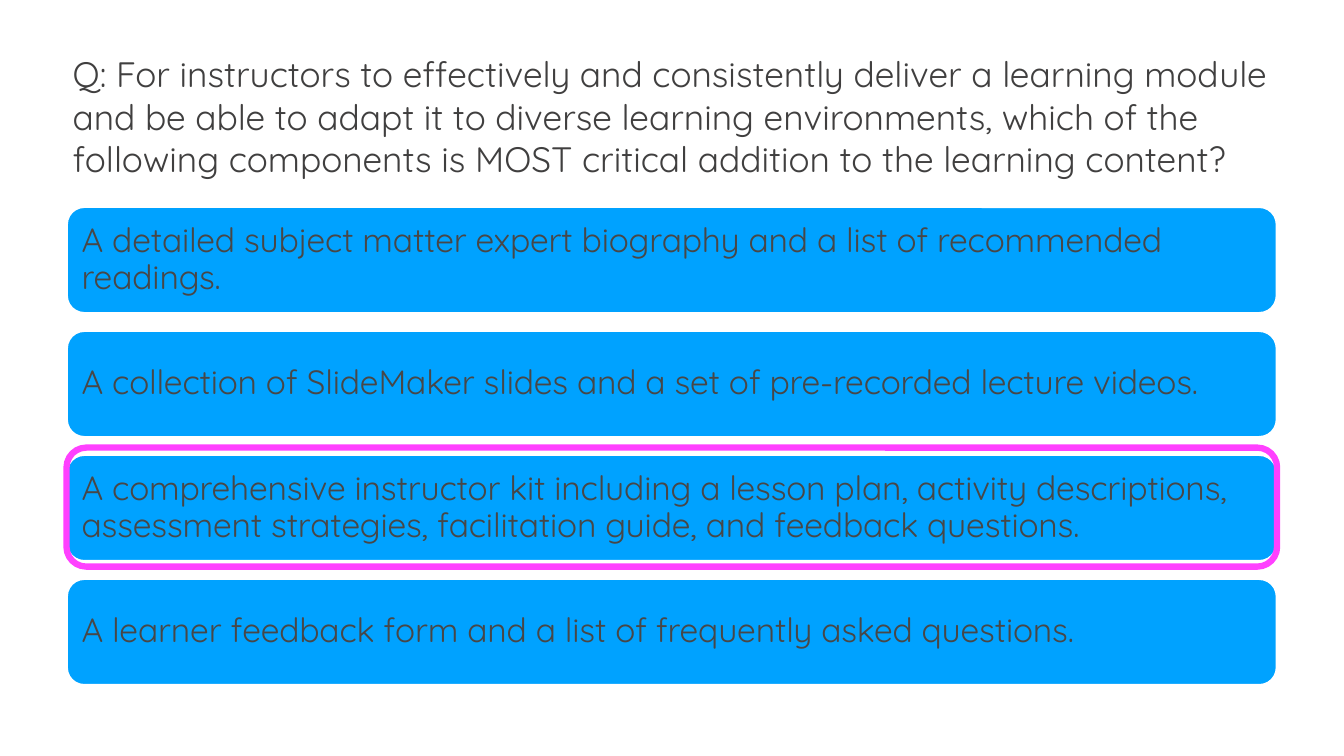
from pptx import Presentation
from pptx import util as u
from pptx.dml.color import RGBColor
from pptx.enum import shapes, text

Pt = u.Pt
COLORS = {
    "question": "403F3F",
    "answer": "484747",
    "card": "00A2FF",
    "border": "FFFFFF",
    "highlight": "FF40FF",
}
FONT = "Quicksand"
LEFT, WIDTH = 47.5, 864.7
CARD_TOP, CARD_HEIGHT, CARD_STEP = 147.6, 76.3, 88.56
CORRECT = 2

QUESTION = (
    "Q: For instructors to effectively and consistently deliver a learning module "
    "and be able to adapt it to diverse learning environments, which of the "
    "following components is MOST critical addition to the learning content?"
)
ANSWERS = [
    "A detailed subject matter expert biography and a list of recommended readings.",
    "A collection of SlideMaker slides and a set of pre-recorded lecture videos.",
    "A comprehensive instructor kit including a lesson plan, activity descriptions, "
    "assessment strategies, facilitation guide, and feedback questions.",
    "A learner feedback form and a list of frequently asked questions.",
]

deck = Presentation()
deck.slide_width, deck.slide_height = Pt(960), Pt(540)
slide = deck.slides.add_slide(deck.slide_layouts[6])


def rounded_box(top, height, border, border_width):
    box = slide.shapes.add_shape(
        shapes.MSO_SHAPE.ROUNDED_RECTANGLE, Pt(LEFT), Pt(top), Pt(WIDTH), Pt(height)
    )
    box.shadow.inherit = False
    box.line.color.rgb = RGBColor.from_string(COLORS[border])
    box.line.width = Pt(border_width)
    return box


def write(box, words, size, color, inset):
    frame = box.text_frame
    frame.word_wrap = True
    frame.vertical_anchor = text.MSO_ANCHOR.MIDDLE
    frame.margin_left = frame.margin_right = Pt(inset)
    frame.margin_top = frame.margin_bottom = Pt(inset)
    paragraph = frame.paragraphs[0]
    paragraph.alignment = text.PP_ALIGN.LEFT
    run = paragraph.add_run()
    run.text = words
    run.font.name = FONT
    run.font.size = Pt(size)
    run.font.color.rgb = RGBColor.from_string(COLORS[color])
    return paragraph


question = slide.shapes.add_textbox(Pt(LEFT), Pt(31.7), Pt(WIDTH), Pt(102.2))
write(question, QUESTION, 25.2, "question", 4.3)

for row, answer in enumerate(ANSWERS):
    card = rounded_box(CARD_TOP + row * CARD_STEP, CARD_HEIGHT, "border", 2)
    card.fill.solid()
    card.fill.fore_color.rgb = RGBColor.from_string(COLORS["card"])
    line = write(card, answer, 24, "answer", 7.2)
    line.line_spacing = 0.9
    line.runs[0].font._element.set("spc", "-10")

highlight = rounded_box(CARD_TOP + CORRECT * CARD_STEP - 5, 85, "highlight", 4.5)
highlight.fill.background()

deck.save("out.pptx")
